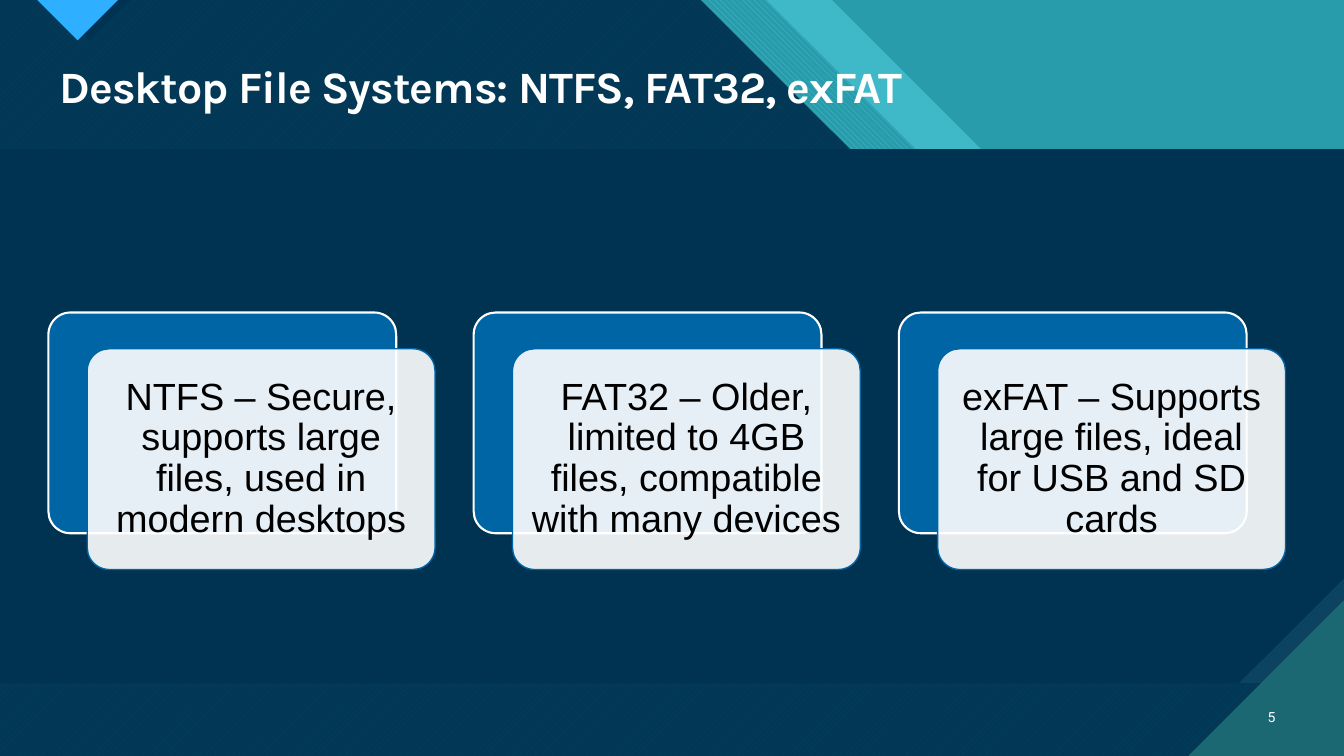
from lxml.etree import SubElement
from pptx import Presentation
from pptx.dml.color import RGBColor
from pptx.enum.dml import MSO_PATTERN
from pptx.enum.shapes import MSO_SHAPE
from pptx.enum.text import MSO_ANCHOR, MSO_AUTO_SIZE, PP_ALIGN
from pptx.oxml.ns import qn
from pptx.util import Inches, Pt

WIDTH, HEIGHT = 13.33, 7.5
COLORS = {
    "navy": "003352",
    "slate": "0C4360",
    "blue": "0065A4",
    "sky": "2FAFFF",
    "teal": "299CAB",
    "aqua": "47C3D3",
    "pine": "1B6872",
    "white": "FFFFFF",
    "black": "000000",
}
CARDS = [
    "NTFS – Secure, supports large files, used in modern desktops",
    "FAT32 – Older, limited to 4GB files, compatible with many devices",
    "exFAT – Supports large files, ideal for USB and SD cards",
]


def color(name):
    """Return the named colour."""
    return RGBColor.from_string(COLORS[name])


def paint(shape, fill, opacity=100, pattern=None, back=None, line=None, line_width=1):
    """Set the fill and outline of a shape and remove its shadow."""
    shape.shadow.inherit = False
    if pattern is None:
        shape.fill.solid()
        shape.fill.fore_color.rgb = color(fill)
    else:
        shape.fill.patterned()
        shape.fill.pattern = pattern
        shape.fill.fore_color.rgb = color(fill)
        shape.fill.back_color.rgb = color(back)
    if opacity < 100:
        tint = shape._element.spPr.find(".//" + qn("a:srgbClr"))
        SubElement(tint, qn("a:alpha")).set("val", str(opacity * 1000))
    if line is None:
        shape.line.fill.background()
    else:
        shape.line.color.rgb = color(line)
        shape.line.width = Pt(line_width)


def add_preset(slide, preset, box, adjustment=None, **look):
    """Add a painted preset shape in a box given in inches."""
    shape = slide.shapes.add_shape(preset, *[Inches(length) for length in box])
    if adjustment is not None:
        shape.adjustments[0] = adjustment
    paint(shape, **look)
    return shape


def add_polygon(slide, points, **look):
    """Add a painted closed outline through points given in inches."""
    corners = [(Inches(x), Inches(y)) for x, y in points]
    builder = slide.shapes.build_freeform(*corners[0])
    builder.add_line_segments(corners[1:], close=True)
    paint(builder.convert_to_shape(), **look)


def write(shape, text, size, font, ink, align=PP_ALIGN.LEFT, bold=False,
          line_spacing=1.0, inset=0.1, tracking=None):
    """Write one formatted paragraph, centred vertically, into a shape."""
    frame = shape.text_frame
    frame.word_wrap = True
    frame.auto_size = MSO_AUTO_SIZE.NONE
    frame.vertical_anchor = MSO_ANCHOR.MIDDLE
    frame.margin_left = frame.margin_right = Inches(inset)
    frame.margin_top = frame.margin_bottom = Inches(inset)
    paragraph = frame.paragraphs[0]
    paragraph.alignment = align
    paragraph.line_spacing = line_spacing
    run = paragraph.add_run()
    run.text = text
    run.font.size = Pt(size)
    run.font.name = font
    run.font.bold = bold
    run.font.color.rgb = color(ink)
    if tracking is not None:
        run._r.get_or_add_rPr().set("spc", str(round(tracking * 100)))


def add_backdrop(slide, left, top, width, height):
    """Draw the diagonal bands that fill the slide."""
    right, bottom = left + width, top + height

    def band(start, step, ledge):
        """Return the outline of a band whose slanted edge begins at start."""
        return [(left, top), (left + start, top), (left + start + step, top + step),
                (left + ledge, top + step), (right, top + step + width - ledge),
                (right, bottom), (left, bottom)]

    add_preset(slide, MSO_SHAPE.RECTANGLE, (left, top, width, height), fill="teal")
    add_polygon(slide, band(8.25, 2.97, 12.34), fill="aqua", opacity=74)
    add_polygon(slide, band(7.6, 2.97, 11.84), fill="aqua", back="teal",
                pattern=MSO_PATTERN.WIDE_DOWNWARD_DIAGONAL)
    edge = band(6.95, 2.97, 11.18)
    add_polygon(slide, edge, fill="aqua", back="pine",
                pattern=MSO_PATTERN.WIDE_UPWARD_DIAGONAL)
    add_polygon(slide, edge, fill="navy", opacity=90)


def add_marker(slide, left, top, width, depth):
    """Draw the pointed marker and its dark offset at the top edge."""
    for offset, look in [
        (0.12, {"fill": "navy"}),
        (0, {"fill": "sky", "back": "pine", "pattern": MSO_PATTERN.DARK_HORIZONTAL}),
    ]:
        start = left + offset
        add_polygon(slide, [(start, top), (start + width, top),
                            (start + width / 2, top + depth)], **look)


def add_panel(slide, left, top, width, height):
    """Draw the content panel with its lower right corner cut off."""
    for cut, look in [
        (0, {"fill": "slate", "back": "pine", "pattern": MSO_PATTERN.DARK_VERTICAL}),
        (0.197, {"fill": "navy"}),
    ]:
        panel = add_preset(slide, MSO_SHAPE.SNIP_1_RECTANGLE,
                           (left, top, width, height), cut, **look)
        panel._element.spPr.find(qn("a:xfrm")).set("flipV", "1")


def add_corner(slide, right, bottom, side):
    """Draw the triangle in the lower right corner."""
    add_polygon(slide, [(right - side, bottom), (right, bottom), (right, bottom - side)],
                fill="pine", back="aqua", pattern=MSO_PATTERN.DARK_HORIZONTAL)


def add_title(slide, left, top, width, height):
    """Place the title placeholder in front of the backdrop."""
    title = slide.shapes.title
    slide.shapes._spTree.append(title._element)
    title.left, title.top = Inches(left), Inches(top)
    title.width, title.height = Inches(width), Inches(height)
    write(title, "Desktop File Systems: NTFS, FAT32, exFAT", 32, "Karla", "white",
          bold=True, line_spacing=0.9, tracking=-0.7)


def add_page_number(slide, left, top, width, height):
    """Write the page number."""
    box = slide.shapes.add_textbox(Inches(left), Inches(top), Inches(width), Inches(height))
    write(box, "5", 10, "Roboto", "white", align=PP_ALIGN.RIGHT)


def add_cards(slide, left, top, width, height):
    """Spread the layered cards evenly over the box."""
    shift_x, shift_y, card_width = 0.385, 0.36, 3.45
    card_height = height - shift_y
    pitch = (width - shift_x - card_width) / (len(CARDS) - 1)
    for index, text in enumerate(CARDS):
        x = left + index * pitch
        add_preset(slide, MSO_SHAPE.ROUNDED_RECTANGLE, (x, top, card_width, card_height),
                   0.1, fill="blue", line="white", line_width=1.5)
        front = add_preset(slide, MSO_SHAPE.ROUNDED_RECTANGLE,
                           (x + shift_x, top + shift_y, card_width, card_height),
                           0.1, fill="white", opacity=90, line="blue")
        write(front, text, 27, "Arial", "black", align=PP_ALIGN.CENTER,
              line_spacing=0.9, inset=0.11)


def main():
    """Build the slide and save it."""
    presentation = Presentation()
    presentation.slide_width, presentation.slide_height = Inches(WIDTH), Inches(HEIGHT)
    slide = presentation.slides.add_slide(presentation.slide_layouts[5])
    add_backdrop(slide, 0, 0, WIDTH, HEIGHT)
    add_marker(slide, 0.37, 0, 0.8, 0.4)
    add_panel(slide, 0, 1.48, WIDTH, 5.3)
    add_corner(slide, WIDTH, HEIGHT, 1.54)
    add_title(slide, 0.49, 0.59, 12.26, 0.59)
    add_page_number(slide, 12.31, 6.91, 0.44, 0.4)
    add_cards(slide, 0.48, 3.1, 12.27, 2.55)
    presentation.save("out.pptx")


if __name__ == "__main__":
    main()
